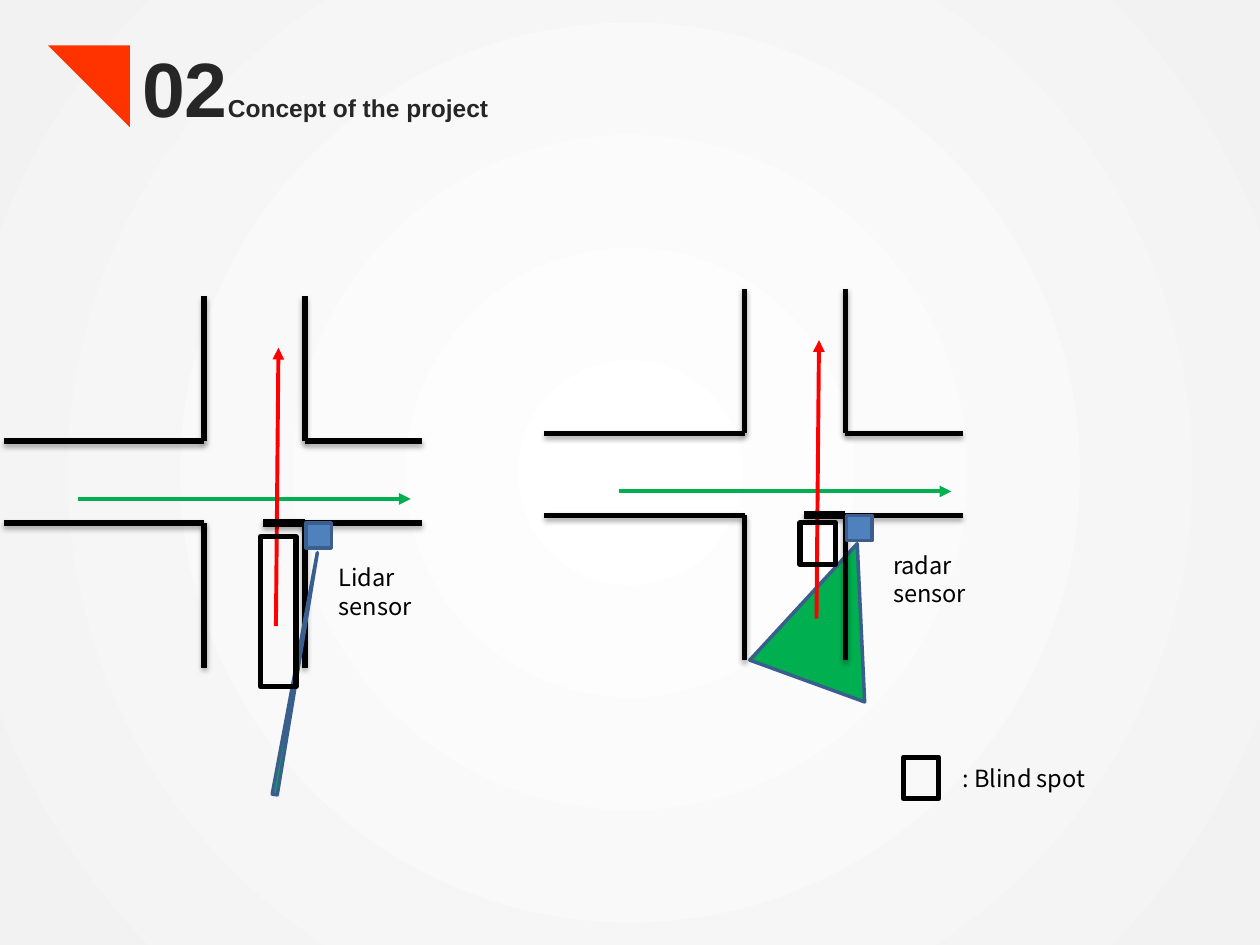
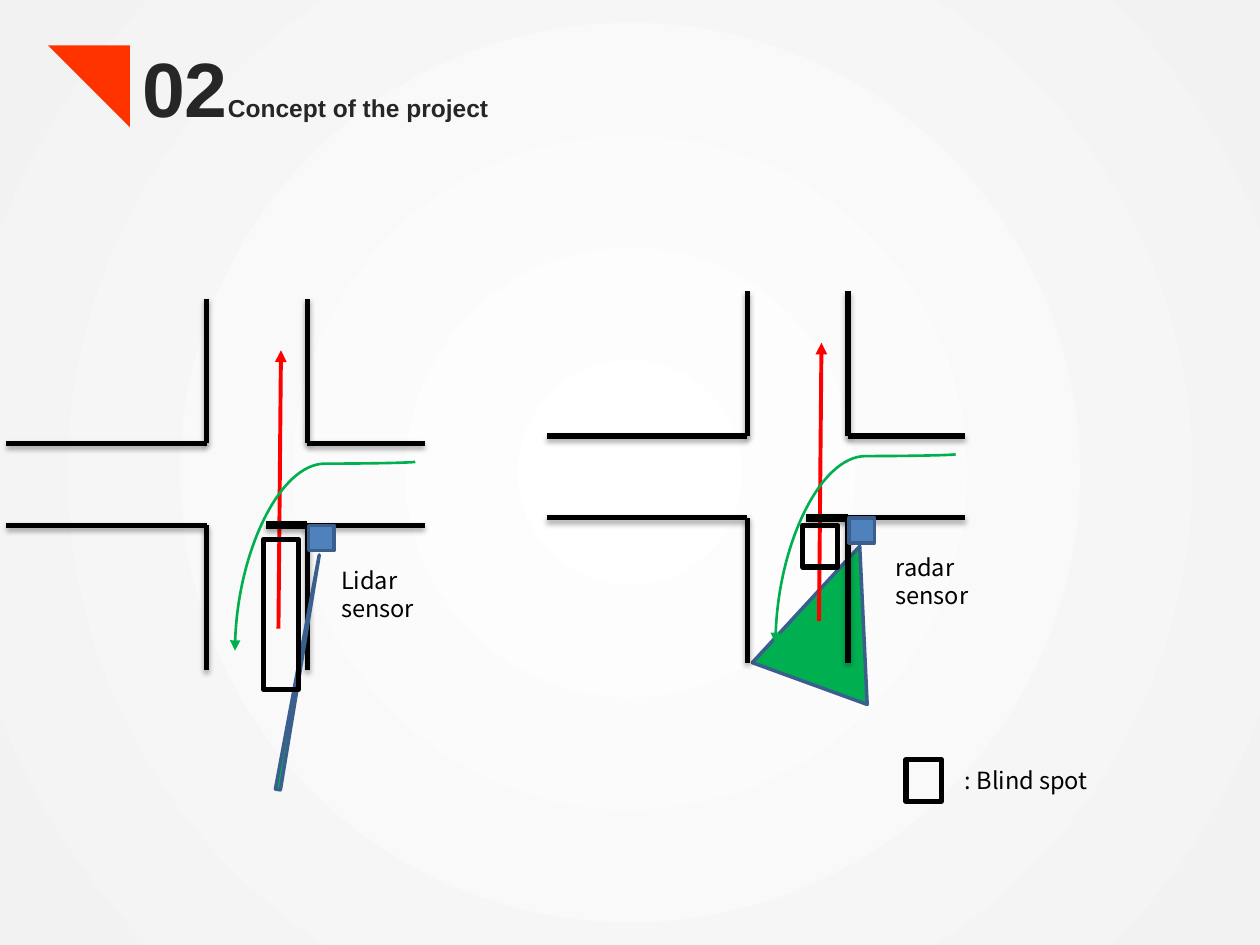
from dataclasses import dataclass

from lxml.etree import SubElement
from pptx import Presentation
from pptx.dml.color import RGBColor
from pptx.enum.shapes import MSO_CONNECTOR, MSO_SHAPE
from pptx.enum.text import MSO_AUTO_SIZE
from pptx.oxml.ns import qn
from pptx.util import Emu, Inches, Pt

# Slide size and its grid of 100 columns by 75 rows
WIDTH, HEIGHT = Inches(10), Inches(7.5)
COLUMN, ROW = WIDTH / 100, HEIGHT / 75

BLACK = RGBColor(0x00, 0x00, 0x00)
WHITE = RGBColor(0xFF, 0xFF, 0xFF)
PALE_GREY = RGBColor(0xF2, 0xF2, 0xF2)
TITLE_GREY = RGBColor(0x26, 0x26, 0x26)
ORANGE = RGBColor(0xFF, 0x33, 0x00)
RED = RGBColor(0xFF, 0x00, 0x00)
GREEN = RGBColor(0x00, 0xB0, 0x50)
BLUE = RGBColor(0x4F, 0x81, 0xBD)
DARK_BLUE = RGBColor(0x3A, 0x5F, 0x8C)

TITLE_FONT = "Arial"
LABEL_FONT = "Noto Sans CJK KR"

# Crossroad measures, in cells from the corner at the upper left of the crossing
LANE_WIDTH, LANE_HEIGHT = 8, 6.5
WEST_END, EAST_END = -15.9, 17.3
WALL_LENGTH = 11.5
RADAR_SHIFT = (42.9, -0.6)


@dataclass(frozen=True)
class Area:
    left: float
    top: float
    width: float
    height: float

    def moved(self, x: float, y: float) -> "Area":
        return Area(self.left + x, self.top + y, self.width, self.height)

    def lengths(self) -> tuple:
        return (Emu(round(self.left * COLUMN)), Emu(round(self.top * ROW)),
                Emu(round(self.width * COLUMN)), Emu(round(self.height * ROW)))


@dataclass(frozen=True)
class Stroke:
    color: RGBColor
    points: float
    arrow: bool = False
    shadow: bool = False


@dataclass(frozen=True)
class Sensor:
    name: str
    label: Area
    beam: Area
    beam_angle: float
    beam_behind_walls: bool
    blind_spot: Area


@dataclass(frozen=True)
class Situation:
    corner: tuple[float, float]
    turning: bool
    lidar_range: float


WALL = Stroke(BLACK, 3, shadow=True)
STOP_LINE = Stroke(BLACK, 4.5, shadow=True)
OWN_WAY = Stroke(RED, 2.25, arrow=True)
CROSSING_WAY = Stroke(GREEN, 2.25, arrow=True)
TURNING_WAY = Stroke(GREEN, 1.5, arrow=True)
EDGE = Stroke(DARK_BLUE, 2)
FRAME = Stroke(BLACK, 3)

SITUATIONS = [
    Situation((16.2, 35), turning=False, lidar_range=19.5),
    Situation((16.4, 35.2), turning=True, lidar_range=18.9),
]


def sensors(lidar_range: float) -> list[Sensor]:
    return [
        Sensor("Lidar sensor", Area(9.7, 9.2, 12, 3.3),
               Area(7.1, 8.7, 0.4, lidar_range), 10, False,
               Area(4.5, 7.6, 2.8, 11.9)),
        Sensor("radar sensor", Area(10.8, 8.8, 12, 3.3),
               Area(2.1, 8.4, 9.7, 11.6), 20, True,
               Area(4.4, 7.1, 2.8, 3.3)),
    ]


def add_block(page, kind, area: Area, fill: RGBColor | None = None,
              edge: Stroke | None = None, angle: float = 0):
    block = page.shapes.add_shape(kind, *area.lengths())
    block.shadow.inherit = False
    block.rotation = angle
    if fill is None:
        block.fill.background()
    else:
        block.fill.solid()
        block.fill.fore_color.rgb = fill
    if edge is None:
        block.line.fill.background()
    else:
        block.line.color.rgb = edge.color
        block.line.width = Pt(edge.points)
    return block


def add_line(page, start: tuple, end: tuple, stroke: Stroke,
             kind=MSO_CONNECTOR.STRAIGHT):
    (x1, y1), (x2, y2) = start, end
    line = page.shapes.add_connector(
        kind, Emu(round(x1 * COLUMN)), Emu(round(y1 * ROW)),
        Emu(round(x2 * COLUMN)), Emu(round(y2 * ROW)))
    line.line.color.rgb = stroke.color
    line.line.width = Pt(stroke.points)
    properties = line._element.spPr
    if stroke.arrow:
        SubElement(properties.find(qn("a:ln")), qn("a:tailEnd"), type="triangle")
    effects = SubElement(properties, qn("a:effectLst"))
    if stroke.shadow:
        shadow = SubElement(effects, qn("a:outerShdw"), blurRad=str(Pt(3.1)),
                            dist=str(Pt(1.8)), dir="5400000", rotWithShape="0")
        color = SubElement(shadow, qn("a:srgbClr"), val=str(BLACK))
        SubElement(color, qn("a:alpha"), val="35000")
    return line


def add_text(page, area: Area):
    box = page.shapes.add_textbox(*area.lengths())
    box.text_frame.word_wrap = True
    box.text_frame.auto_size = MSO_AUTO_SIZE.SHAPE_TO_FIT_TEXT
    return box.text_frame.paragraphs[0]


def add_label(page, text: str, area: Area) -> None:
    para = add_text(page, area)
    para.text = text
    para.font.name = LABEL_FONT
    para.font.size = Pt(13.5)
    para.font.color.rgb = BLACK


def paint_background(page) -> None:
    fill = page.background.fill
    fill.gradient()
    for stop, color in zip(fill.gradient_stops, (WHITE, PALE_GREY)):
        stop.color.rgb = color
    gradient = page.element.find(".//" + qn("a:gradFill"))
    gradient.remove(gradient.find(qn("a:lin")))
    circle = SubElement(gradient, qn("a:path"), path="circle")
    SubElement(circle, qn("a:fillToRect"),
               {side: "50000" for side in ("l", "t", "r", "b")})


def add_title(page) -> None:
    mark = add_block(page, MSO_SHAPE.ISOSCELES_TRIANGLE,
                     Area(3.8, 3.6, 6.5, 6.5), ORANGE, angle=180)
    mark.adjustments[0] = 0
    para = add_text(page, Area(10.3, 2.7, 33.8, 8.4))
    para.font.name = TITLE_FONT
    para.font.bold = True
    para.font.color.rgb = TITLE_GREY
    for text, size in (("02", 44), ("Concept of the project", 14)):
        span = para.add_run()
        span.text = text
        span.font.size = Pt(size)


def add_turn(page, x: float, y: float) -> None:
    """Curve from the east lane into the south lane, turned a quarter."""
    turn = add_line(page, (x + 1.9, y + 1.8), (x + 16.9, y + 16.1),
                    TURNING_WAY, MSO_CONNECTOR.CURVE)
    properties = turn._element.spPr
    properties.find(qn("a:xfrm")).set("rot", "5400000")
    SubElement(properties.find(".//" + qn("a:avLst")), qn("a:gd"),
               name="adj1", fmla="val 1000")


def add_crossroad(page, x: float, y: float, sensor: Sensor, turning: bool) -> None:
    def add_beam() -> None:
        add_block(page, MSO_SHAPE.ISOSCELES_TRIANGLE, sensor.beam.moved(x, y),
                  GREEN, EDGE, sensor.beam_angle)

    if sensor.beam_behind_walls:
        add_beam()

    # Road edges
    east, south = x + LANE_WIDTH, y + LANE_HEIGHT
    for edge_y in (y, south):
        add_line(page, (x + WEST_END, edge_y), (x, edge_y), WALL)
        add_line(page, (east, edge_y), (x + EAST_END, edge_y), WALL)
    for edge_x in (x, east):
        add_line(page, (edge_x, y), (edge_x, y - WALL_LENGTH), WALL)
        add_line(page, (edge_x, south + WALL_LENGTH), (edge_x, south), WALL)

    # Traffic, stop line and sensor
    if not turning:
        add_line(page, (x - 10, y + 4.6), (x + 16.4, y + 4.6), CROSSING_WAY)
    add_line(page, (x + 5.7, y + 14.7), (x + 5.9, y - 7.4), OWN_WAY)
    add_line(page, (east, south), (x + 4.7, south), STOP_LINE)
    add_block(page, MSO_SHAPE.RECTANGLE, Area(east + 0.1, south, 2, 2), BLUE, EDGE)

    if not sensor.beam_behind_walls:
        add_beam()
    add_block(page, MSO_SHAPE.RECTANGLE, sensor.blind_spot.moved(x, y), edge=FRAME)
    add_label(page, sensor.name, sensor.label.moved(x, y))
    if turning:
        add_turn(page, x, y)


def add_legend(page, x: float, y: float) -> None:
    add_block(page, MSO_SHAPE.RECTANGLE, Area(x, y, 2.8, 3.3), edge=FRAME)
    add_label(page, ": Blind spot", Area(x + 3.7, y, 13, 3.3))


def add_page(deck, situation: Situation) -> None:
    page = deck.slides.add_slide(deck.slide_layouts[6])
    paint_background(page)
    x, y = situation.corner
    for number, sensor in enumerate(sensors(situation.lidar_range)):
        add_crossroad(page, x + number * RADAR_SHIFT[0],
                      y + number * RADAR_SHIFT[1], sensor, situation.turning)
    add_legend(page, x + 55.5, y + 25.1)
    add_title(page)


def main() -> None:
    deck = Presentation()
    deck.slide_width, deck.slide_height = WIDTH, HEIGHT
    for situation in SITUATIONS:
        add_page(deck, situation)
    deck.save("out.pptx")


if __name__ == "__main__":
    main()
